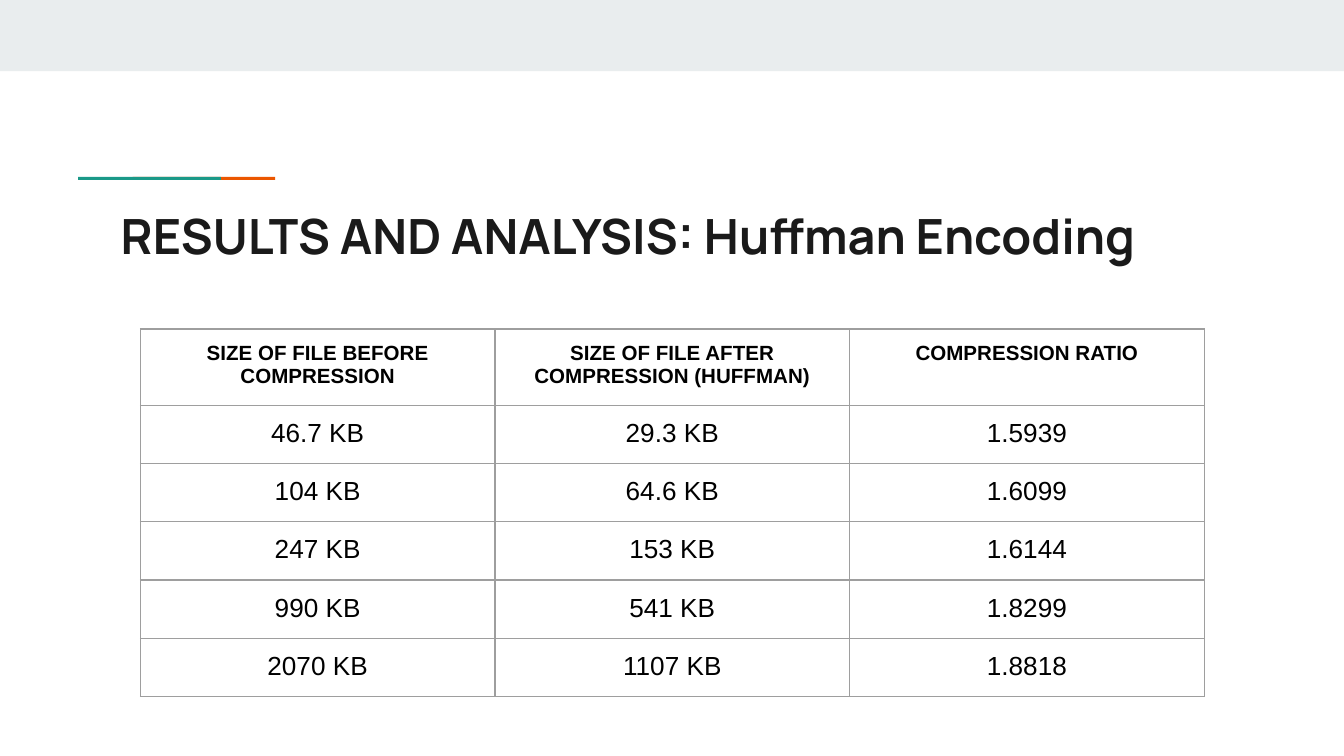
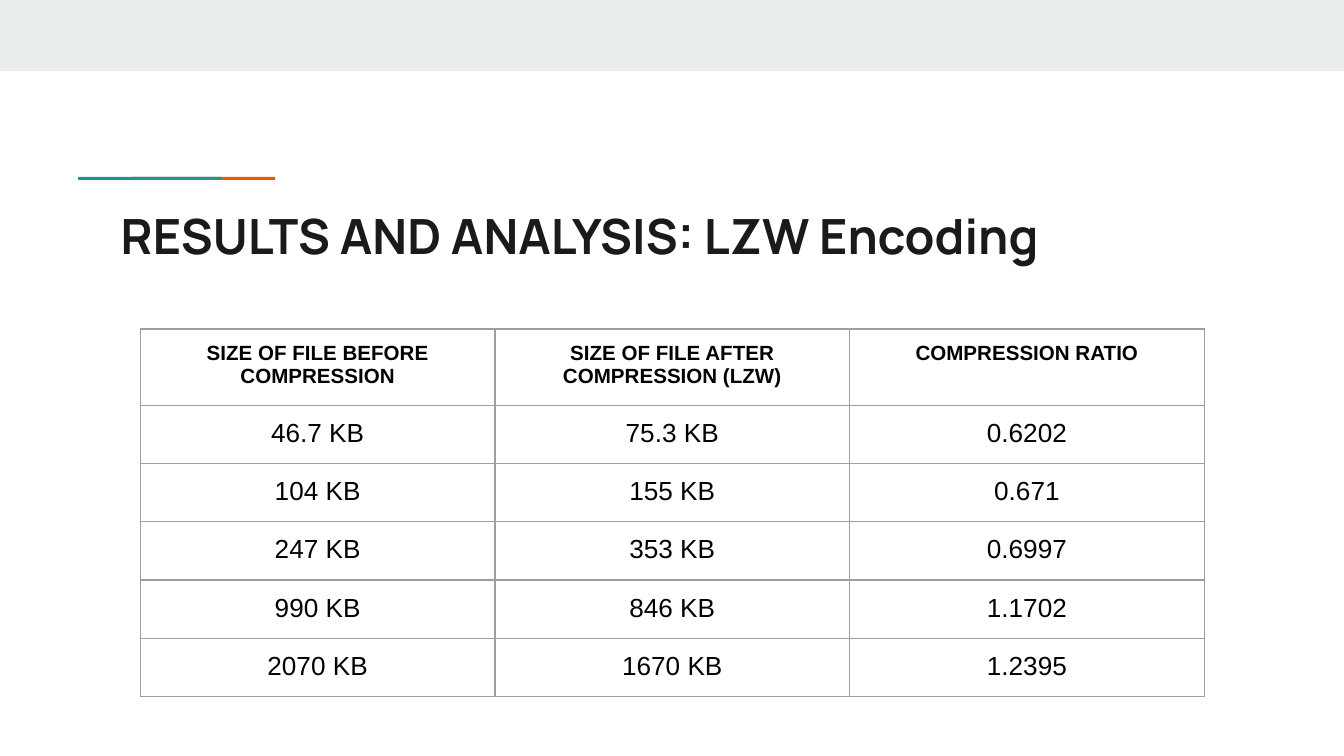
from dataclasses import dataclass

from lxml import etree
from pptx import Presentation
from pptx.dml.color import RGBColor
from pptx.enum.shapes import MSO_SHAPE
from pptx.enum.text import MSO_ANCHOR, PP_ALIGN
from pptx.oxml.ns import qn
from pptx.util import Pt

RECTANGLE = MSO_SHAPE.RECTANGLE
TOP = MSO_ANCHOR.TOP
LEFT = PP_ALIGN.LEFT
CENTER = PP_ALIGN.CENTER


@dataclass(frozen=True)
class Theme:
    band: str = "E9EDEE"
    teal: str = "1A9988"
    orange: str = "EB5600"
    title: str = "1A1A1A"
    text: str = "000000"
    border: str = "9E9E9E"
    title_font: str = "Manrope"
    body_font: str = "Arial"
    title_size: int = 26
    header_size: int = 11
    body_size: int = 14
    border_width: float = 0.75
    inset: float = 7.2


THEME = Theme()
SLIDE_WIDTH, SLIDE_HEIGHT = 720, 405
BAND_HEIGHT = 38.2
ACCENT_TOP, ACCENT_WIDTH, ACCENT_HEIGHT = 94.8, 76.4, 1.6
ACCENTS = [(71, THEME.orange), (41.9, THEME.teal)]
TABLE_LEFT, TABLE_TOP = 75.2, 176.2
COLUMN_WIDTH, ROW_HEIGHT = 190, 30.16

SIZES_BEFORE = ["46.7 KB", "104 KB", "247 KB", "990 KB", "2070 KB"]
RESULTS = [
    (
        "Huffman",
        ["29.3 KB", "64.6 KB", "153 KB", "541 KB", "1107 KB"],
        ["1.5939", "1.6099", "1.6144", "1.8299", "1.8818"],
    ),
    (
        "LZW",
        ["75.3 KB", "155 KB", "353 KB", "846 KB", "1670 KB"],
        ["0.6202", "0.671", "0.6997", "1.1702", "1.2395"],
    ),
]


def write_text(frame, text, *, font=THEME.body_font, size=THEME.body_size,
               color=THEME.text, bold=False, align=LEFT):
    para = frame.paragraphs[0]
    para.alignment = align
    span = para.add_run()
    span.text = text
    span.font.name = font
    span.font.size = Pt(size)
    span.font.bold = bold
    span.font.color.rgb = RGBColor.from_string(color)


def set_margins(target):
    target.margin_left = target.margin_right = Pt(THEME.inset)
    target.margin_top = target.margin_bottom = Pt(THEME.inset)


def add_bar(page, left, top, width, height, color):
    bar = page.shapes.add_shape(RECTANGLE, Pt(left), Pt(top), Pt(width), Pt(height))
    bar.shadow.inherit = False
    bar.fill.solid()
    bar.fill.fore_color.rgb = RGBColor.from_string(color)
    bar.line.fill.background()


def add_title(page, text):
    box = page.shapes.add_textbox(Pt(57.6), Pt(103.4), Pt(605.5), Pt(42.5))
    frame = box.text_frame
    frame.word_wrap = True
    frame.vertical_anchor = TOP
    set_margins(frame)
    write_text(frame, text, font=THEME.title_font, size=THEME.title_size,
               color=THEME.title, bold=True)


def add_borders(cell):
    properties = cell._tc.get_or_add_tcPr()
    for side in ("a:lnL", "a:lnR", "a:lnT", "a:lnB"):
        line = etree.SubElement(properties, qn(side), w=str(Pt(THEME.border_width)))
        fill = etree.SubElement(line, qn("a:solidFill"))
        etree.SubElement(fill, qn("a:srgbClr"), val=THEME.border)


def add_results_table(page, rows):
    columns = len(rows[0])
    table = page.shapes.add_table(
        len(rows), columns, Pt(TABLE_LEFT), Pt(TABLE_TOP),
        Pt(COLUMN_WIDTH * columns), Pt(ROW_HEIGHT * len(rows)),
    ).table
    table.first_row = False
    table.horz_banding = False
    for column in table.columns:
        column.width = Pt(COLUMN_WIDTH)
    for row_index, values in enumerate(rows):
        table.rows[row_index].height = Pt(ROW_HEIGHT)
        header = row_index == 0
        for column_index, value in enumerate(values):
            cell = table.cell(row_index, column_index)
            set_margins(cell)
            add_borders(cell)
            cell.fill.background()
            write_text(cell.text_frame, value, bold=header, align=CENTER,
                       size=THEME.header_size if header else THEME.body_size)


def add_results_page(deck, method, sizes_after, ratios):
    page = deck.slides.add_slide(deck.slide_layouts[6])
    add_bar(page, 0, 0, SLIDE_WIDTH, BAND_HEIGHT, THEME.band)
    for left, color in ACCENTS:
        add_bar(page, left, ACCENT_TOP, ACCENT_WIDTH, ACCENT_HEIGHT, color)
    add_title(page, f"RESULTS AND ANALYSIS: {method} Encoding")
    header = (
        "SIZE OF FILE BEFORE COMPRESSION",
        f"SIZE OF FILE AFTER COMPRESSION ({method.upper()})",
        "COMPRESSION RATIO",
    )
    add_results_table(page, [header, *zip(SIZES_BEFORE, sizes_after, ratios)])


def main():
    deck = Presentation()
    deck.slide_width = Pt(SLIDE_WIDTH)
    deck.slide_height = Pt(SLIDE_HEIGHT)
    for method, sizes_after, ratios in RESULTS:
        add_results_page(deck, method, sizes_after, ratios)
    deck.save("out.pptx")


if __name__ == "__main__":
    main()
